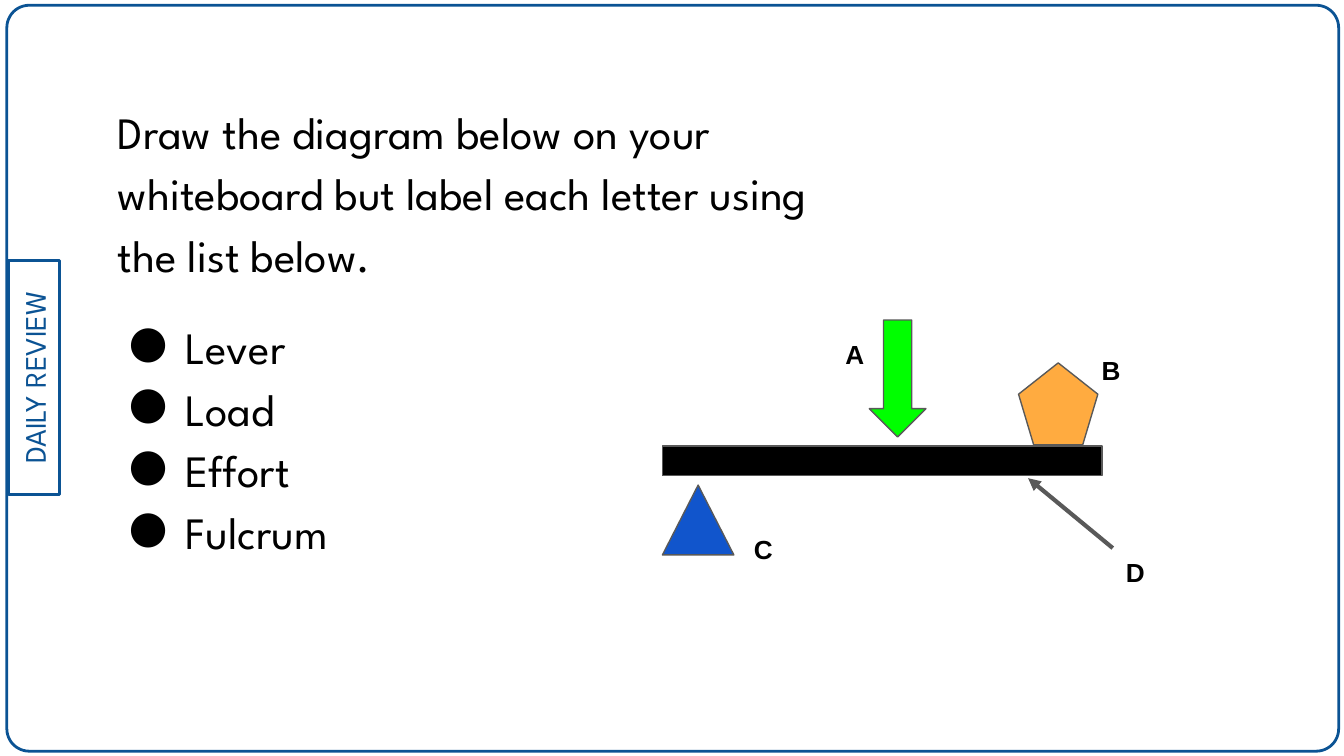
from dataclasses import dataclass

from lxml import etree
from pptx import Presentation
from pptx.dml.color import RGBColor
from pptx.enum.shapes import MSO_CONNECTOR, MSO_SHAPE
from pptx.enum.text import MSO_ANCHOR, MSO_AUTO_SIZE, PP_ALIGN
from pptx.oxml.ns import qn
from pptx.util import Cm, Pt

ROUND, RECT = MSO_SHAPE.ROUNDED_RECTANGLE, MSO_SHAPE.RECTANGLE
BEAM, LOAD = MSO_SHAPE.FLOWCHART_PROCESS, MSO_SHAPE.REGULAR_PENTAGON
PIVOT, PUSH = MSO_SHAPE.ISOSCELES_TRIANGLE, MSO_SHAPE.DOWN_ARROW
STRAIGHT = MSO_CONNECTOR.STRAIGHT
LEFT, CENTER = PP_ALIGN.LEFT, PP_ALIGN.CENTER
TOP, MIDDLE = MSO_ANCHOR.TOP, MSO_ANCHOR.MIDDLE
NO_FIT = MSO_AUTO_SIZE.NONE

HEX = {
    "navy": "0B5394", "black": "000000", "grey": "595959",
    "orange": "FFAB40", "blue": "1155CC", "green": "00FF00",
}
SPARTAN, ARIAL = "League Spartan", "Arial"


@dataclass
class Part:
    kind: MSO_SHAPE
    box: tuple[float, float, float, float]
    fill: str | None = None
    edge: str = "grey"
    width: float = 0.75


@dataclass
class Label:
    text: str
    left: float
    top: float
    width: float = 2.69
    align: PP_ALIGN = LEFT


def color(name: str) -> RGBColor:
    return RGBColor.from_string(HEX[name])


def write(par, text: str, *, size: float, font: str, tint: str = "black",
          bold: bool = False, align: PP_ALIGN = LEFT) -> None:
    par.alignment = align
    run = par.add_run()
    run.text = text
    run.font.size, run.font.name, run.font.bold = Pt(size), font, bold
    run.font.color.rgb = color(tint)


def set_frame(shape, anchor: MSO_ANCHOR = TOP):
    frame = shape.text_frame
    frame.word_wrap, frame.auto_size = True, NO_FIT
    frame.vertical_anchor = anchor
    frame.margin_left = frame.margin_right = Cm(0.25)
    frame.margin_top = frame.margin_bottom = Cm(0.25)
    return frame


def draw_part(shapes, part: Part):
    shape = shapes.add_shape(part.kind, *map(Cm, part.box))
    shape.shadow.inherit = False
    if part.fill:
        shape.fill.solid()
        shape.fill.fore_color.rgb = color(part.fill)
    else:
        shape.fill.background()
    shape.line.color.rgb = color(part.edge)
    shape.line.width = Pt(part.width)
    return shape


def draw_label(shapes, label: Label) -> None:
    box = shapes.add_textbox(Cm(label.left), Cm(label.top), Cm(label.width), Cm(0.81))
    write(set_frame(box).paragraphs[0], label.text, size=14, font=ARIAL,
          bold=True, align=label.align)


def draw_arrow(shapes, start: tuple[float, float], end: tuple[float, float]) -> None:
    arrow = shapes.add_connector(STRAIGHT, *map(Cm, start + end))
    arrow.line.color.rgb = color("grey")
    arrow.line.width = Pt(2.25)
    etree.SubElement(arrow.line._get_or_add_ln(), qn("a:tailEnd"), type="triangle")
    etree.SubElement(arrow._element.spPr, qn("a:effectLst"))


def set_bullet(par, mark: str | None) -> None:
    props = par._p.get_or_add_pPr()
    props.set("marL", str(Cm(1.27) if mark else 0))
    props.set("indent", str(Cm(-1.07) if mark else 0))
    if mark:
        tint = etree.SubElement(props, qn("a:buClr"))
        etree.SubElement(tint, qn("a:srgbClr"), val=HEX["black"])
        etree.SubElement(props, qn("a:buFont"), typeface=SPARTAN)
        etree.SubElement(props, qn("a:buChar"), char=mark)
    else:
        etree.SubElement(props, qn("a:buNone"))


def fill_body(body, intro: str, items: list[str]) -> None:
    body.left, body.top, body.width, body.height = map(Cm, (1.98, 1.57, 14.22, 11.38))
    frame = set_frame(body)
    for i, text in enumerate([intro] + items):
        par = frame.add_paragraph() if i else frame.paragraphs[0]
        set_bullet(par, "●" if i else None)
        par.line_spacing = 1.15
        par.space_before = Pt(16 if i == 1 else 0)
        par.space_after = Pt(0)
        write(par, text, size=24, font=SPARTAN)


PARTS = [
    Part(BEAM, (12.52, 8.43, 8.31, 0.56), "black"),
    Part(LOAD, (19.25, 6.86, 1.5, 1.55), "orange"),
    Part(PIVOT, (12.52, 9.17, 1.35, 1.32), "blue"),
    Part(PUSH, (16.43, 6.05, 1.07, 2.21), "green"),
]
LABELS = [
    Label("A", 14.81, 6.15, align=CENTER),
    Label("B", 20.57, 6.45, width=2.11),
    Label("C", 14, 9.83),
    Label("D", 21.03, 10.26),
]


def main() -> None:
    deck = Presentation()
    deck.slide_width, deck.slide_height = Cm(25.4), Cm(14.29)
    slide = deck.slides.add_slide(deck.slide_layouts[1])
    title, body = slide.placeholders
    title._element.getparent().remove(title._element)

    # Border and side tab
    border = draw_part(slide.shapes, Part(ROUND, (0.13, 0.1, 25.17, 14.1), None, "navy", 1.5))
    border.adjustments[0] = 0.03
    tab = draw_part(slide.shapes, Part(RECT, (-1.57, 6.65, 4.42, 0.97), None, "navy", 1.5))
    tab.rotation = 270
    write(set_frame(tab, MIDDLE).paragraphs[0], "DAILY REVIEW", size=16,
          font=SPARTAN, tint="navy", align=CENTER)

    # Task and word list
    fill_body(body, "Draw the diagram below on your whiteboard but label each "
              "letter using the list below.", ["Lever", "Load", "Effort", "Fulcrum"])

    # Lever diagram
    group = slide.shapes.add_group_shape().shapes
    draw_arrow(group, (21.03, 10.36), (19.43, 9.04))
    for part in PARTS:
        draw_part(group, part)
    for label in LABELS:
        draw_label(group, label)

    deck.save("out.pptx")


if __name__ == "__main__":
    main()
